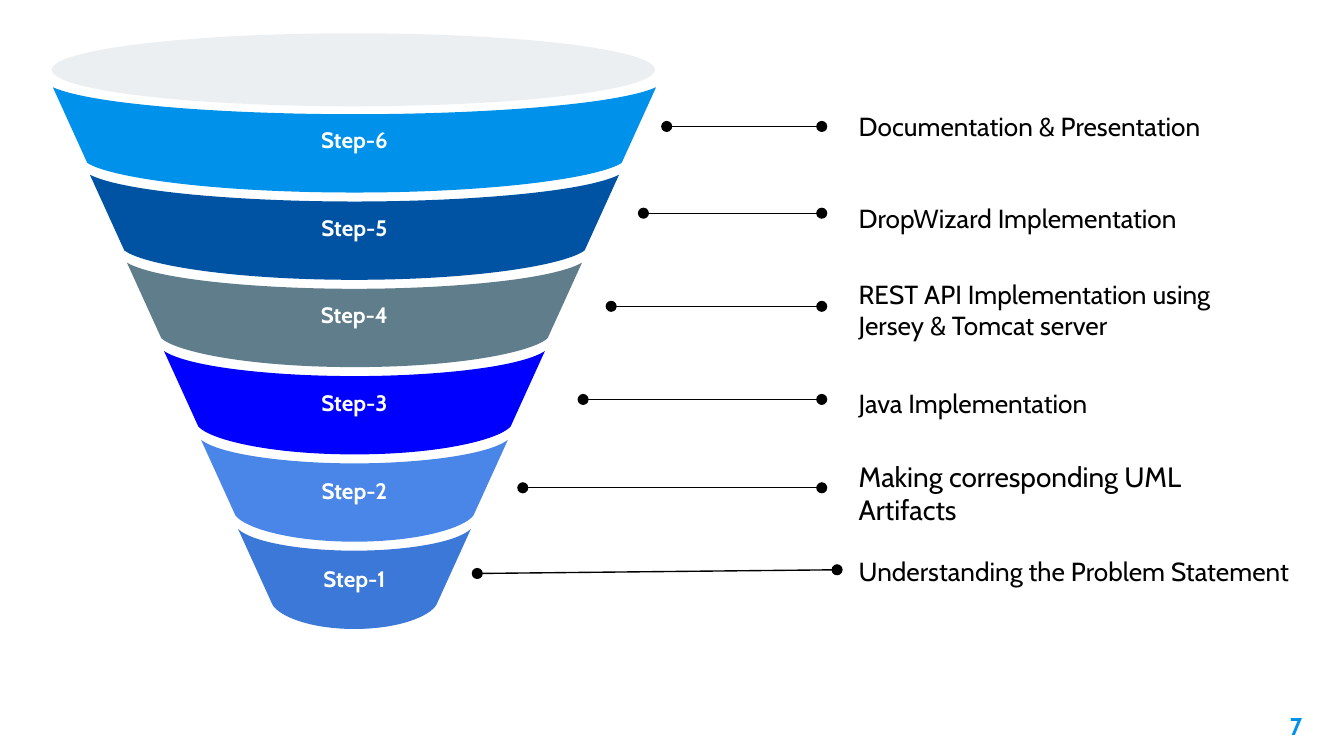
from lxml.etree import SubElement
from pptx import Presentation
from pptx.dml.color import RGBColor
from pptx.enum.shapes import MSO_CONNECTOR, MSO_SHAPE
from pptx.enum.text import MSO_ANCHOR, PP_ALIGN
from pptx.oxml.ns import qn
from pptx.util import Cm, Pt

# Content, top to bottom (lengths in cm):
# step, band colour, label, label size, label top, label width, line start, line end
STEPS = [
    ("Step-6", "0091EA", "Documentation & Presentation",
     14, 1.9, 7.75, (12.6, 2.39), (15.53, 2.39)),
    ("Step-5", "0053A3", "DropWizard Implementation",
     14, 3.63, 7.75, (12.16, 4.03), (15.53, 4.03)),
    ("Step-4", "607D8B", "REST API Implementation using Jersey & Tomcat server",
     14, 5.37, 7.75, (11.55, 5.79), (15.53, 5.79)),
    ("Step-3", "0000FF", "Java Implementation",
     14, 7.14, 7.75, (11.02, 7.55), (15.53, 7.55)),
    ("Step-2", "4A86E8", "Making corresponding UML Artifacts",
     15, 8.83, 8.03, (9.88, 9.22), (15.53, 9.22)),
    ("Step-1", "3C78D8", "Understanding the Problem Statement",
     14, 10.31, 8.36, (9.02, 10.84), (15.82, 10.77)),
]
PAGE = "7"

THEME = {"font": "Cabin", "text": "000000", "band_text": "FFFFFF",
         "page": "0091EA", "rim": "ECEFF1", "band_size": 12, "page_size": 13}

# Funnel geometry
CENTRE = 6.7
PITCH, THICKNESS, TAPER = 1.65, 1.48, 0.7
TOP_HALF, BOTTOM_HALF, FIRST_ARC = 5.7, 5.05, 2.16
TOP_CURVE = [(1, 0), (0.87, 0.65), (0.42, 1), (0, 1)]
BOTTOM_CURVE = [(1, 0), (0.92, 0.48), (0.54, 1), (0, 1)]


def rgb(value):
    return RGBColor.from_string(value)


def arc(curve, half, low, dip):
    """Control points of a sagging edge, two Bezier curves from left to right."""
    left = [(-half * x, low - dip * (1 - y)) for x, y in curve]
    right = [(-x, y) for x, y in left[-2::-1]]
    return [(Cm(CENTRE + x), Cm(y)) for x, y in left + right]


def bend(sp, starts):
    """Turn each run of three line segments at the given starts into a curve."""
    lines = list(sp._element.iter(qn("a:lnTo")))
    for start in starts:
        run = lines[start:start + 3]
        curve = run[0].makeelement(qn("a:cubicBezTo"))
        run[0].addprevious(curve)
        for line in run:
            curve.append(line[0])
            line.getparent().remove(line)


def paint(shape, colour):
    shape.shadow.inherit = False
    shape.fill.solid()
    shape.fill.fore_color.rgb = rgb(colour)
    shape.line.fill.background()


def write(shape, text, size, colour, bold=False, align=PP_ALIGN.LEFT,
          anchor=MSO_ANCHOR.MIDDLE, margins=(0, 0)):
    tf = shape.text_frame
    side, end = (Cm(m) for m in margins)
    frame = {"word_wrap": True, "vertical_anchor": anchor, "margin_left": side,
             "margin_right": side, "margin_top": end, "margin_bottom": end}
    for name, value in frame.items():
        setattr(tf, name, value)
    p = tf.paragraphs[0]
    p.alignment = align
    r = p.add_run()
    r.text = text
    for name, value in {"name": THEME["font"], "size": Pt(size), "bold": bold}.items():
        setattr(r.font, name, value)
    r.font.color.rgb = rgb(colour)


def add_band(shapes, i, step, colour):
    low = FIRST_ARC + i * PITCH
    shrink = i * TAPER
    flatten = 0.004 * i * i
    top = arc(TOP_CURVE, TOP_HALF - shrink, low, 0.51 - flatten)
    bottom = arc(BOTTOM_CURVE, BOTTOM_HALF - shrink, low + THICKNESS, 0.56 - flatten)
    outline = top + bottom[::-1]
    builder = shapes.build_freeform(*outline[0])
    builder.add_line_segments(outline[1:], close=True)
    sp = builder.convert_to_shape()
    bend(sp, (0, 3, 7, 10))
    paint(sp, colour)
    write(sp, step, THEME["band_size"], THEME["band_text"], True,
          PP_ALIGN.CENTER, margins=(0.18, 0.1))


def add_pointer(shapes, start, end):
    line = shapes.add_connector(MSO_CONNECTOR.STRAIGHT,
                                *(Cm(v) for v in start + end))
    line.line.color.rgb = rgb(THEME["text"])
    line.line.width = Pt(0.75)
    props = line._element.spPr
    for tag in ("a:headEnd", "a:tailEnd"):
        SubElement(props.find(qn("a:ln")), qn(tag), type="oval")
    SubElement(props, qn("a:effectLst"))


def main():
    prs = Presentation()
    prs.slide_width, prs.slide_height = Cm(25.4), Cm(14.29)
    s = prs.slides.add_slide(prs.slide_layouts[6])

    # Funnel: bands, then the rim
    funnel = s.shapes.add_group_shape().shapes
    for i, (step, colour, *_) in enumerate(STEPS):
        add_band(funnel, i, step, colour)
    rim = funnel.add_shape(MSO_SHAPE.OVAL, Cm(0.98), Cm(0.63), Cm(11.4), Cm(1.38))
    paint(rim, THEME["rim"])

    # Pointers and labels
    for _, _, label, size, top, width, start, end in STEPS:
        add_pointer(s.shapes, start, end)
        box = s.shapes.add_textbox(Cm(16.23), Cm(top), Cm(width), Cm(0.97))
        write(box, label, size, THEME["text"])

    # Page number
    box = s.shapes.add_textbox(Cm(23.34), Cm(13.19), Cm(1.52), Cm(1.09))
    write(box, PAGE, THEME["page_size"], THEME["page"], True,
          PP_ALIGN.RIGHT, MSO_ANCHOR.TOP, (0.25, 0.25))

    prs.save("out.pptx")


if __name__ == "__main__":
    main()
